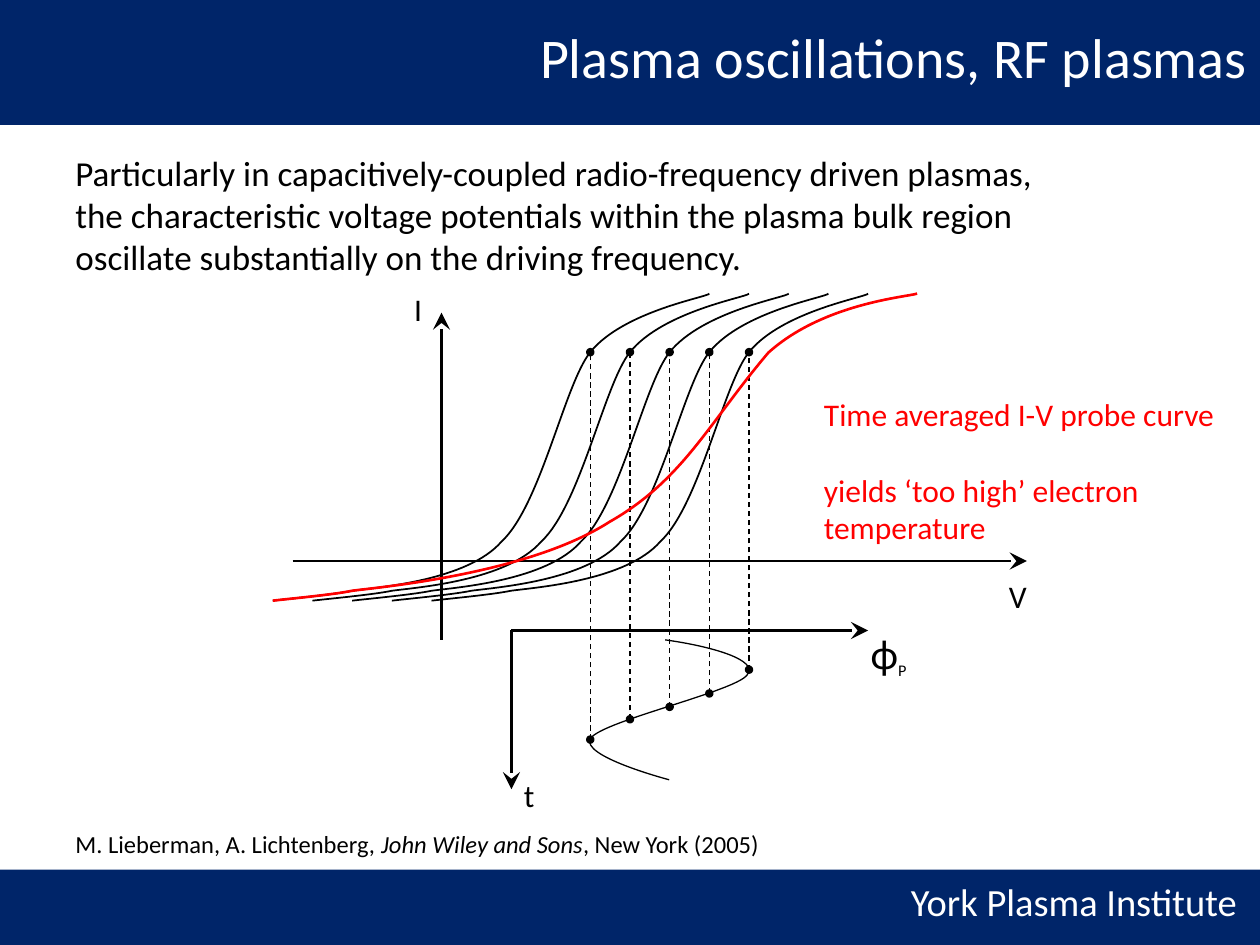
from lxml import etree
from pptx import Presentation
from pptx.dml.color import RGBColor
from pptx.enum.dml import MSO_LINE
from pptx.enum.shapes import MSO_CONNECTOR, MSO_SHAPE
from pptx.enum.text import MSO_ANCHOR, PP_ALIGN
from pptx.oxml.ns import qn
from pptx.util import Cm, Pt

NAVY = RGBColor(0x00, 0x25, 0x69)
BLACK = RGBColor(0, 0, 0)
RED = RGBColor(0xFF, 0, 0)
WHITE = RGBColor(0xFF, 0xFF, 0xFF)
FONT = "Calibri"
LEFT, CENTER, RIGHT = PP_ALIGN.LEFT, PP_ALIGN.CENTER, PP_ALIGN.RIGHT
TOP, MIDDLE = MSO_ANCHOR.TOP, MSO_ANCHOR.MIDDLE
STRAIGHT = MSO_CONNECTOR.STRAIGHT
RECTANGLE, OVAL = MSO_SHAPE.RECTANGLE, MSO_SHAPE.OVAL
DASH = MSO_LINE.DASH

# Geometry in cm; a curve is a start point followed by Bezier triples
PHASE_STEP = 0.8
KNEE_X, KNEE_Y = 11.9, 7.1
POTENTIAL_YS = [14.91, 14.5, 14.25, 13.98, 13.5]
PROBE_FOOT = [(5.5, 12.11), (5.64, 12.09), (6.73, 11.99), (7.1, 11.91)]
PROBE_CURVE = PROBE_FOOT + [
    (7.62, 11.84), (9.42, 11.71), (10.11, 10.92),
    (10.9, 10.19), (11.38, 7.75), (KNEE_X, KNEE_Y),
    (12.57, 6.27), (14.27, 5.99), (14.3, 5.92)]
AVERAGED_CURVE = PROBE_FOOT + [
    (7.62, 11.84), (10.64, 11.58), (12.29, 10.52),
    (13.77, 9.68), (14.3, 8.51), (15.49, 7.11),
    (16.59, 6.12), (18.26, 5.99), (18.49, 5.92)]
POTENTIAL_WAVE = [
    (13.41, 12.9), (14.35, 13.03), (15.32, 13.31), (15.06, 13.61),
    (14.81, 13.94), (12.17, 14.53), (11.91, 14.88),
    (11.66, 15.24), (13.49, 15.72), (13.49, 15.72)]


def add_text(slide, box, text, size=18, color=BLACK, align=LEFT, anchor=TOP,
             wrap=True, italic="", subscript=""):
    """Line ends become line breaks; italic and subscript name a part of the text."""
    frame = slide.shapes.add_textbox(*map(Cm, box)).text_frame
    frame.word_wrap = wrap
    frame.vertical_anchor = anchor
    paragraph = frame.paragraphs[0]
    paragraph.alignment = align
    special = italic or subscript
    for number, line in enumerate(text.split("\n")):
        if number:
            paragraph.add_line_break()
        for part in filter(None, line.partition(special) if special else [line]):
            run = paragraph.add_run()
            run.text = part
            run.font.name = FONT
            run.font.size = Pt(size)
            run.font.color.rgb = color
            if part == italic:
                run.font.italic = True
            if part == subscript:
                run.font.size = Pt(16)
                run.font._element.set("baseline", "-25000")
    for line_break in paragraph._p.findall(qn("a:br")):
        etree.SubElement(line_break, qn("a:rPr"), sz=str(size * 100))


def add_filled(slide, kind, box, color, outline=None):
    shape = slide.shapes.add_shape(kind, *map(Cm, box))
    shape.shadow.inherit = False
    shape.fill.solid()
    shape.fill.fore_color.rgb = color
    if outline:
        shape.line.color.rgb = color
        shape.line.width = Pt(outline)
    else:
        shape.line.fill.background()


def add_dot(slide, x, y):
    add_filled(slide, OVAL, (x - 0.05, y - 0.05, 0.1, 0.1), BLACK, outline=2)


def add_line(slide, start, end, width=1.5, arrow=False, dash=None):
    line = slide.shapes.add_connector(STRAIGHT, *map(Cm, start + end))
    line.line.color.rgb = BLACK
    line.line.width = Pt(width)
    if dash:
        line.line.dash_style = dash
    if arrow:
        etree.SubElement(line.line._get_or_add_ln(), qn("a:tailEnd"),
                         type="stealth", w="lg", len="lg")
    etree.SubElement(line._element.spPr, qn("a:effectLst"))


def add_curve(slide, curve, width, color=BLACK, shift=0):
    points = [(Cm(x + shift), Cm(y)) for x, y in curve]
    builder = slide.shapes.build_freeform(*points[0])
    builder.add_line_segments(points[1:], close=False)
    shape = builder.convert_to_shape()
    shape.shadow.inherit = False
    shape.fill.background()
    shape.line.color.rgb = color
    shape.line.width = Pt(width)

    # Join each three straight segments into one Bezier segment
    outline = next(shape._element.iter(qn("a:path")))
    segments = outline.findall(qn("a:lnTo"))
    for i in range(0, len(segments), 3):
        bezier = etree.SubElement(outline, qn("a:cubicBezTo"))
        for segment in segments[i:i + 3]:
            bezier.append(segment[0])
            outline.remove(segment)


def add_diagram(slide):
    # Axes: current, voltage, time, plasma potential
    origin = (10.31, 12.71)
    for start, end in [((8.9, 12.9), (8.9, 6.3)), ((5.9, 11.31), (20.7, 11.31)),
                       (origin, (10.31, 15.91)), (origin, (17.5, 12.71))]:
        add_line(slide, start, end, arrow=True)

    # Instantaneous probe curves tied to the potential oscillation
    add_curve(slide, POTENTIAL_WAVE, 0.75)
    for phase, potential_y in enumerate(POTENTIAL_YS):
        shift = phase * PHASE_STEP
        x = KNEE_X + shift
        add_curve(slide, PROBE_CURVE, 1, shift=shift)
        add_line(slide, (x, potential_y), (x, KNEE_Y), width=0.75, dash=DASH)
        add_dot(slide, x, KNEE_Y)
        add_dot(slide, x, potential_y)
    add_curve(slide, AVERAGED_CURVE, 1.5, color=RED)

    # Axis labels
    add_text(slide, (8.1, 5.72, 2.01, 1.02), "I")
    add_text(slide, (20.09, 11.51, 1.19, 1.02), "V")
    add_text(slide, (17.3, 12.52, 1.6, 1.3), "ϕP", size=24, subscript="P")
    add_text(slide, (10.31, 15.52, 1.19, 1.02), "t")


def main():
    prs = Presentation()
    prs.slide_width, prs.slide_height = Cm(25.4), Cm(19.05)
    slide = prs.slides.add_slide(prs.slide_layouts[6])

    # Header and footer bands
    add_filled(slide, RECTANGLE, (0, 17.53, 25.4, 1.52), NAVY)
    add_filled(slide, RECTANGLE, (0, 0, 25.4, 2.52), NAVY)
    add_text(slide, (17.7, 17.63, 7.9, 1.09), "York Plasma Institute", size=22,
             color=WHITE, align=CENTER, anchor=MIDDLE, wrap=False)
    add_text(slide, (7.29, 0.33, 18.11, 1.78), "Plasma oscillations, RF plasmas",
             size=32, color=WHITE, align=RIGHT)

    # Introduction and reference
    add_text(slide, (1.27, 2.92, 23.47, 12.57),
             "Particularly in capacitively-coupled radio-frequency driven plasmas, \n"
             "the characteristic voltage potentials within the plasma bulk region \n"
             "oscillate substantially on the driving frequency.", size=20)
    add_text(slide, (1.27, 16.59, 21.39, 0.84),
             "M. Lieberman, A. Lichtenberg, John Wiley and Sons, New York (2005)",
             size=14, italic="John Wiley and Sons")

    add_diagram(slide)

    # Remark on the averaged curve
    add_text(slide, (16.36, 7.84, 8.38, 2.49),
             "Time averaged I-V probe curve \nyields ‘too high’ electron temperature",
             color=RED)

    prs.save("out.pptx")


if __name__ == "__main__":
    main()
